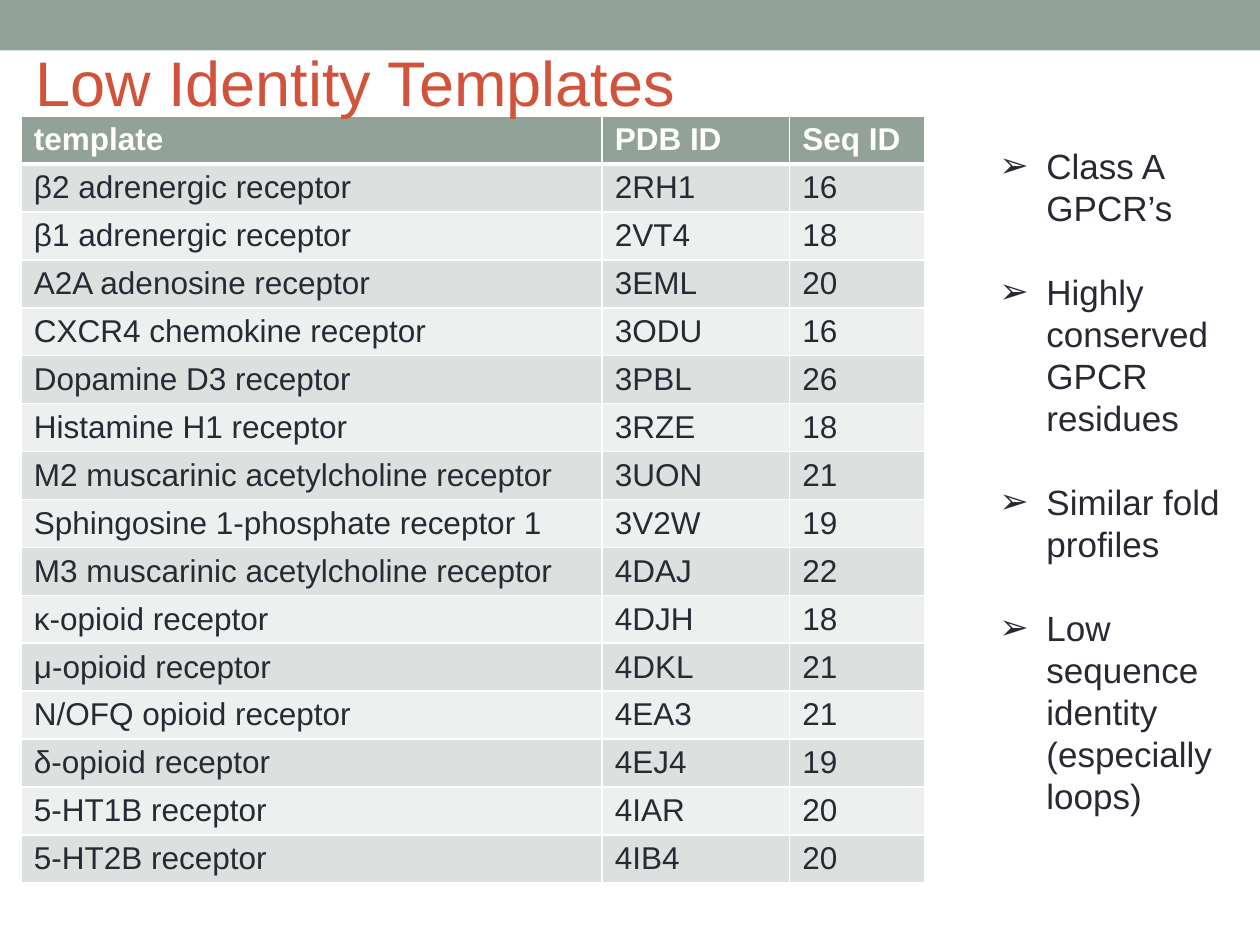
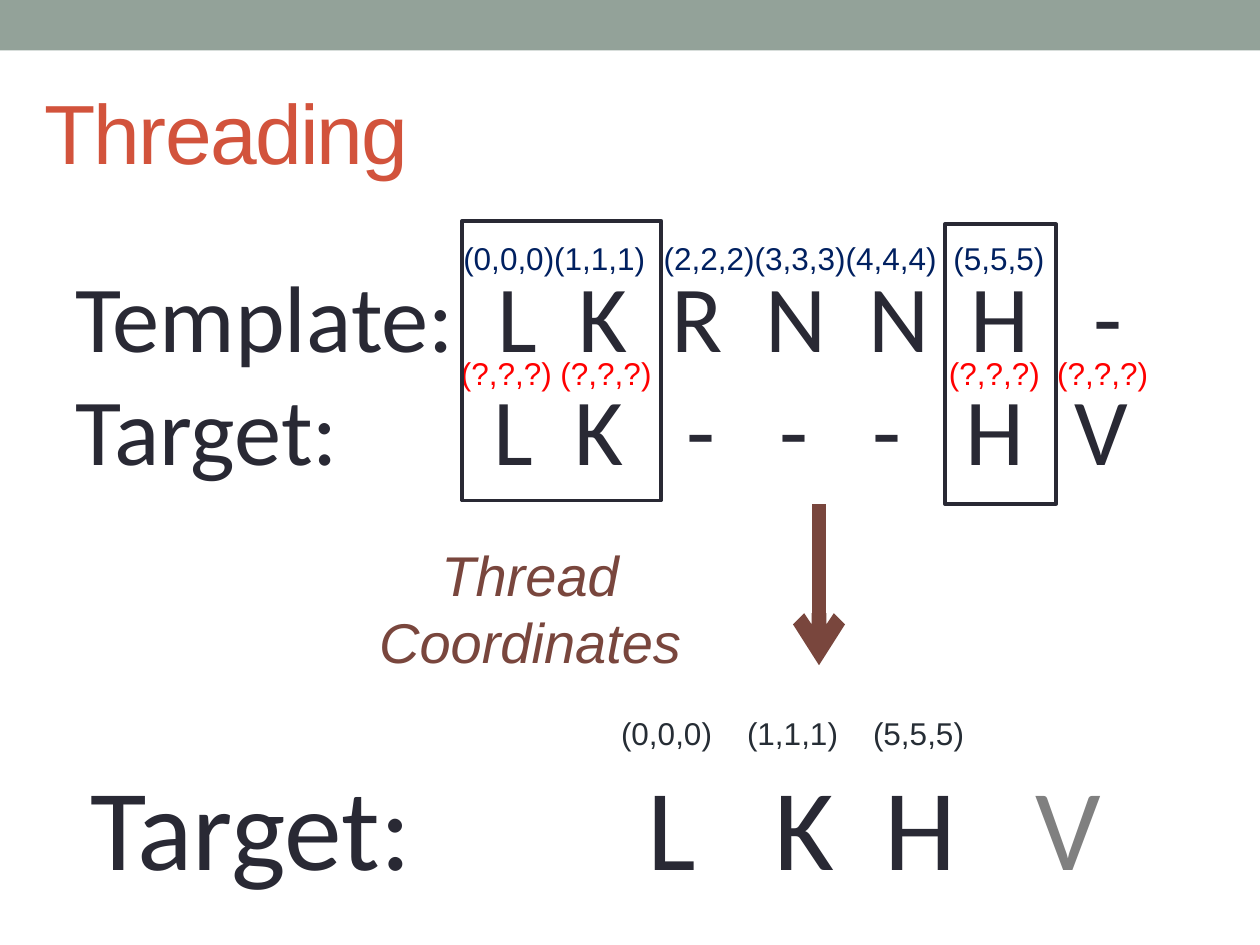
from pptx import Presentation
from pptx.dml.color import RGBColor
from pptx.enum.shapes import MSO_CONNECTOR, MSO_SHAPE
from pptx.enum.text import MSO_ANCHOR, MSO_AUTO_SIZE, PP_ALIGN
from pptx.oxml.ns import qn
from pptx.util import Cm, Pt
from lxml import etree

RECT = MSO_SHAPE.RECTANGLE
LINE = MSO_CONNECTOR.STRAIGHT
LEFT, MID = PP_ALIGN.LEFT, PP_ALIGN.CENTER
TOP, HALF = MSO_ANCHOR.TOP, MSO_ANCHOR.MIDDLE
FIXED = MSO_AUTO_SIZE.NONE

HUES = {
    "sage": "93A299", "rust": "D2533C", "ink": "292934", "white": "FFFFFF",
    "dark": "DCE0DE", "pale": "EEF0EF", "brown": "79463D", "navy": "002060",
    "red": "FF0000", "slate": "262D35", "gray": "808080",
}
HEAD = ("template", "PDB ID", "Seq ID")
ROWS = (
    ("β2 adrenergic receptor", "2RH1", 16),
    ("β1 adrenergic receptor", "2VT4", 18),
    ("A2A adenosine receptor", "3EML", 20),
    ("CXCR4 chemokine receptor", "3ODU", 16),
    ("Dopamine D3 receptor", "3PBL", 26),
    ("Histamine H1 receptor", "3RZE", 18),
    ("M2 muscarinic acetylcholine receptor", "3UON", 21),
    ("Sphingosine 1-phosphate receptor 1", "3V2W", 19),
    ("M3 muscarinic acetylcholine receptor", "4DAJ", 22),
    ("κ-opioid receptor", "4DJH", 18),
    ("μ-opioid receptor", "4DKL", 21),
    ("N/OFQ opioid receptor", "4EA3", 21),
    ("δ-opioid receptor", "4EJ4", 19),
    ("5-HT1B receptor", "4IAR", 20),
    ("5-HT2B receptor", "4IB4", 20),
)
TRAITS = (
    "Class A GPCR’s",
    "Highly conserved GPCR residues",
    "Similar fold profiles",
    "Low sequence identity (especially loops)",
)


def hue(name):
    return RGBColor.from_string(HUES[name])


def node(root, tag, **attrs):
    return etree.SubElement(root, qn(tag), attrs)


class Deck:
    font = "Arial"

    def __init__(self):
        self.prs = Presentation()
        self.prs.slide_width, self.prs.slide_height = Cm(25.4), Cm(19.05)
        self.slide = None

    def start(self, layout):
        self.slide = self.prs.slides.add_slide(self.prs.slide_layouts[layout])
        self.rect((0, 0, 25.4, 1.02), fill="sage")

    def place(self, shape, box):
        shape.left, shape.top, shape.width, shape.height = map(Cm, box)

    def style(self, run, size, color, font=None, bold=False, slant=False):
        face = run.font
        face.size, face.name = Pt(size), font or self.font
        face.bold, face.italic = bold, slant
        face.color.rgb = hue(color)

    def frame(self, shape, anchor=TOP):
        frame = shape.text_frame
        frame.word_wrap, frame.auto_size = True, FIXED
        frame.vertical_anchor = anchor
        return frame

    def title(self, text, box, size, track=0):
        shape = self.slide.shapes.title
        self.place(shape, box)
        self.frame(shape, HALF).text = text
        para = shape.text_frame.paragraphs[0]
        para.alignment = LEFT
        self.style(para.runs[0], size, "rust")
        if track:
            para.runs[0].font._element.set("spc", str(track * 100))
        self.slide.shapes._spTree.append(shape._element)

    def bullets(self, items, box, size, lead):
        shape = self.slide.placeholders[1]
        self.place(shape, box)
        frame = self.frame(shape)
        frame.text = "\n".join(items)
        for i, para in enumerate(frame.paragraphs):
            props = para._p.get_or_add_pPr()
            props.set("marL", str(Cm(0.95)))
            props.set("indent", str(Cm(-0.95)))
            node(props, "a:buFont", typeface=self.font)
            node(props, "a:buChar", char="➢")
            para.line_spacing = Pt(lead)
            para.space_before = Pt(lead if i else 0)
            self.style(para.runs[0], size, "ink")

    def text(self, lines, box, size, color, font=None, align=LEFT,
             stops=(), tab="l", slant=False, lead=None):
        shape = self.slide.shapes.add_textbox(*map(Cm, box))
        frame = self.frame(shape)
        frame.text = "\n".join(lines)
        for i, para in enumerate(frame.paragraphs):
            para.alignment = align
            if stops:
                tabs = node(para._p.get_or_add_pPr(), "a:tabLst")
                for stop in stops[i]:
                    node(tabs, "a:tab", pos=str(Cm(stop)), algn=tab)
            if lead:
                para.line_spacing = Pt(lead)
            self.style(para.runs[0], size, color, font, slant=slant)
        return frame

    def rect(self, box, fill=None, line=None):
        shape = self.slide.shapes.add_shape(RECT, *map(Cm, box))
        shape.shadow.inherit = False
        if fill:
            shape.fill.solid()
            shape.fill.fore_color.rgb = hue(fill)
        else:
            shape.fill.background()
        if line:
            shape.line.color.rgb = hue(line)
            shape.line.width = Pt(2.08)
        else:
            shape.line.fill.background()

    def arrow(self, ends, color, width):
        link = self.slide.shapes.add_connector(LINE, *map(Cm, ends))
        link.line.color.rgb = hue(color)
        link.line.width = Pt(width)
        node(link.line._get_or_add_ln(), "a:tailEnd", type="arrow")
        node(link._element.spPr, "a:effectLst")

    def edges(self, cell, base):
        props = cell._tc.get_or_add_tcPr()
        widths = {"L": 1, "R": 1, "T": 1, "B": base}
        for i, (side, width) in enumerate(widths.items()):
            edge = etree.Element(qn(f"a:ln{side}"), w=str(Pt(width)))
            fill = node(edge, "a:solidFill")
            node(fill, "a:srgbClr", val=HUES["white"])
            props.insert(i, edge)

    def table(self, rows, spot, widths, tall, size):
        area = (*spot, sum(widths), tall * len(rows))
        grid = self.slide.shapes.add_table(
            len(rows), len(widths), *map(Cm, area)).table
        for col, width in zip(grid.columns, widths):
            col.width = Cm(width)
        for r, row in enumerate(rows):
            head = r == 0
            fill = "sage" if head else "dark" if r % 2 else "pale"
            for c, value in enumerate(row):
                cell = grid.cell(r, c)
                cell.text = str(value)
                cell.fill.solid()
                cell.fill.fore_color.rgb = hue(fill)
                self.edges(cell, 3 if head else 1)
                run = cell.text_frame.paragraphs[0].runs[0]
                self.style(run, size, "white" if head else "ink", bold=head)


def main():
    deck = Deck()

    deck.start(1)
    deck.table((HEAD, *ROWS), (0.43, 2.34), (11.71, 3.78, 2.72), 0.84, 18)
    deck.title("Low Identity Templates", (0.46, 0.74, 13.54, 1.8), 36)
    deck.bullets(TRAITS, (19.89, 2.79, 5.08, 13.94), 20, 24)

    deck.start(5)
    deck.title("Threading", (0.64, 1.27, 22.86, 2.74), 48, track=-1)
    deck.arrow((16.51, 10.16, 16.51, 13.41), "brown", 8.5)
    final = deck.text(["Target:\tL\tK\tH\t"], (1.57, 15.1, 22, 2.9), 66,
                      "ink", "Calibri", tab="ctr",
                      stops=[(11.72, 14.4, 16.74, 19.72)])
    loose = final.paragraphs[0].add_run()
    loose.text = "V"
    deck.style(loose, 66, "gray", "Calibri")
    deck.text(["(0,0,0)\t(1,1,1)\t(5,5,5)"], (12.27, 14.27, 7.49, 1.02), 18,
              "slate", stops=[(2.54, 5.08)])
    deck.text(["Template:\tL\tK\tR\tN\tN\tH\t-", "Target:\tL\tK\t-\t-\t-\tH\tV"],
              (1.27, 5.07, 23.5, 4.9), 54, "ink", "Calibri", tab="ctr",
              stops=[(8.9, 10.63, 12.53, 14.52, 16.6, 18.64, 20.81),
                     (8.82, 10.55, 12.61, 14.48, 16.36, 18.53, 20.69)])
    deck.text(["(0,0,0)(1,1,1)\t(2,2,2)(3,3,3)(4,4,4)\t(5,5,5)"],
              (9.09, 4.7, 12.52, 1.02), 18, "navy", stops=[(4.04, 9.88)])
    deck.text(["(?,?,?) (?,?,?)\t(?,?,?)\t(?,?,?)"],
              (9.04, 7.01, 14.86, 1.02), 18, "red", stops=[(9.84, 12.02)])
    deck.rect((9.32, 4.45, 4.01, 5.64), line="ink")
    deck.rect((19.05, 4.52, 2.24, 5.64), line="ink")
    deck.text(["Thread Coordinates"], (6.78, 10.77, 7.82, 3), 32, "brown",
              align=MID, slant=True, lead=38.4)

    deck.prs.save("out.pptx")


if __name__ == "__main__":
    main()
